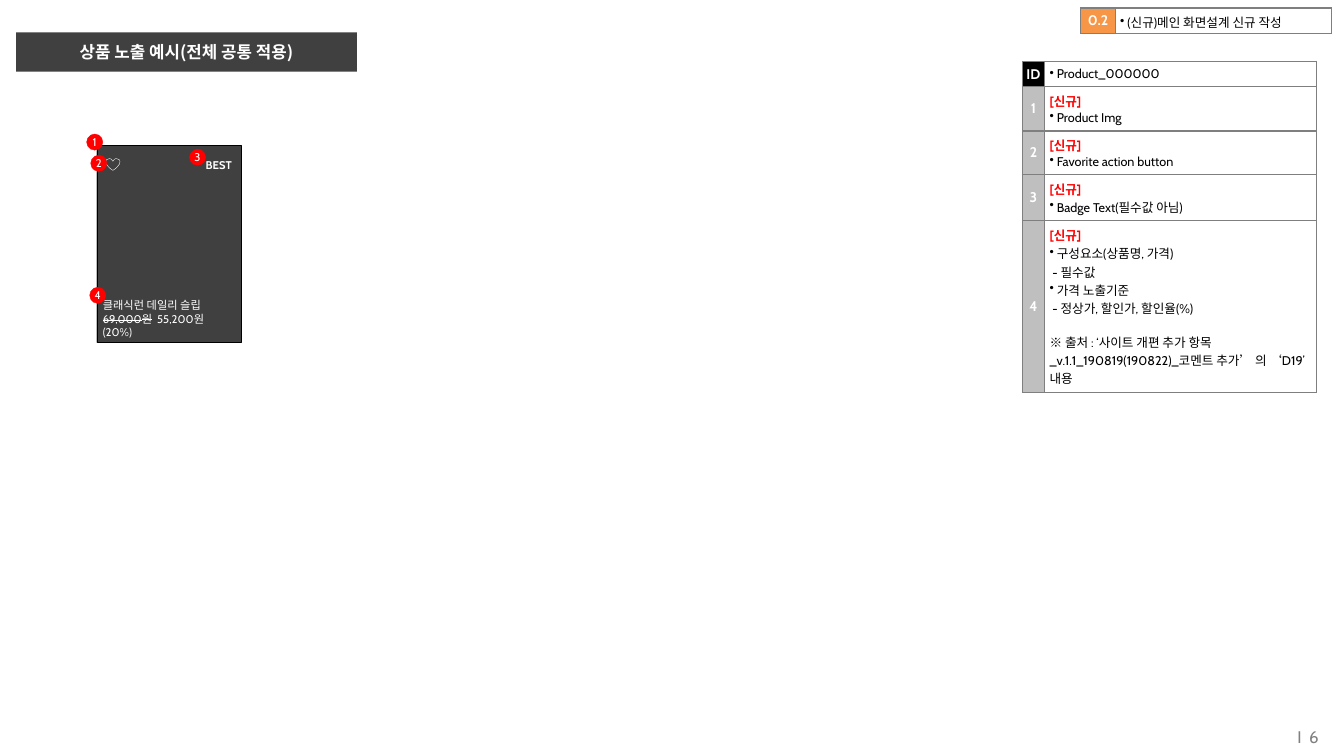
"""Build the product exposure example slide of a screen design document."""
import lxml.etree
import pptx
import pptx.dml.color
import pptx.enum.shapes
import pptx.enum.text
import pptx.oxml.ns
import pptx.util

Inches = pptx.util.Inches
Pt = pptx.util.Pt
Align = pptx.enum.text.PP_ALIGN
Anchor = pptx.enum.text.MSO_ANCHOR
Kind = pptx.enum.shapes.MSO_SHAPE
qn = pptx.oxml.ns.qn

LATIN = "Cabin"
KOREAN = "Noto Sans CJK KR"
COLORS = {
    "white": "FFFFFF", "black": "000000", "dark": "404040", "gray": "808080",
    "edge": "7F7F7F", "label": "BFBFBF", "red": "FF0000", "orange": "F79646",
}
NEW = "[신규]"
SPEC = [
    ("ID", 0.25, ["• Product_000000"]),
    ("1", 0.44, [NEW, "• Product Img"]),
    ("2", 0.43, [NEW, "• Favorite action button"]),
    ("3", 0.46, [NEW, "• Badge Text(필수값 아님)"]),
    ("4", 1.7, [
        NEW, "• 구성요소(상품명, 가격)", " - 필수값", "• 가격 노출기준",
        " - 정상가, 할인가, 할인율(%)",
        "※ 출처 : ‘사이트 개편 추가 항목_v.1.1_190819(190822)_코멘트 추가’ 의 ‘D19’ 내용",
    ]),
]
CHANGE = [("0.2", 0.25, ["• (신규)메인 화면설계 신규 작성"])]
MARKS = [("1", 0.86, 1.33), ("2", 0.9, 1.54), ("3", 1.88, 1.48), ("4", 0.89, 2.85)]


def rgb(name):
    return pptx.dml.color.RGBColor.from_string(COLORS[name])


def style(para, size, color, bold=False, align=Align.LEFT, face=LATIN):
    para.alignment = align
    font = para.font
    font.name, font.size, font.bold = face, Pt(size), bold
    font.color.rgb = rgb(color)


def paint(shape, fill=None, line=None):
    shape.shadow.inherit = False
    if fill:
        shape.fill.solid()
        shape.fill.fore_color.rgb = rgb(fill)
    else:
        shape.fill.background()
    if line:
        shape.line.color.rgb = rgb(line)
        shape.line.width = Pt(0.25)
    else:
        shape.line.fill.background()


def inset(frame, side, top):
    frame.margin_left = frame.margin_right = Inches(side)
    frame.margin_top = frame.margin_bottom = Inches(top)


def add_form(slide, kind, box, fill=None, line=None):
    shape = slide.shapes.add_shape(kind, *map(Inches, box))
    paint(shape, fill, line)
    return shape


def add_text(slide, box, side=0, top=0):
    frame = slide.shapes.add_textbox(*map(Inches, box)).text_frame
    frame.word_wrap = True
    frame.vertical_anchor = Anchor.MIDDLE
    inset(frame, side, top)
    return frame


def add_title(slide, text):
    title = slide.shapes.title
    title.left, title.top, title.width, title.height = map(Inches, (0.16, 0.32, 3.38, 0.39))
    paint(title, "dark")
    frame = title.text_frame
    frame.text = text
    frame.auto_size = pptx.enum.text.MSO_AUTO_SIZE.NONE
    frame.vertical_anchor = Anchor.MIDDLE
    style(frame.paragraphs[0], 12, "white", True, Align.CENTER, KOREAN)


def add_mark(slide, text, left, top):
    mark = add_form(slide, Kind.OVAL, (left, top, 0.16, 0.16), "red", "red")
    frame = mark.text_frame
    frame.text = text
    frame.word_wrap = False
    frame.vertical_anchor = Anchor.MIDDLE
    inset(frame, 0, 0)
    style(frame.paragraphs[0], 8, "white", align=Align.CENTER)


def add_bullet(para):
    props = para._p.get_or_add_pPr()
    props.set("marL", "0")
    props.set("indent", "0")
    mark = lxml.etree.Element(qn("a:buChar"), char="•")
    props.insert(0, mark)


def add_edges(cell):
    props = cell._tc.get_or_add_tcPr()
    for spot, side in enumerate(("lnL", "lnR", "lnT", "lnB")):
        line = lxml.etree.Element(qn("a:" + side), w=str(Pt(1)))
        fill = lxml.etree.SubElement(line, qn("a:solidFill"))
        lxml.etree.SubElement(fill, qn("a:srgbClr"), val=COLORS["edge"])
        props.insert(spot, line)


def fill_cell(cell, color, gap):
    cell.fill.solid()
    cell.fill.fore_color.rgb = rgb(color)
    inset(cell, gap, gap)
    add_edges(cell)


def add_notes(frame, lines):
    for spot, text in enumerate(lines):
        para = frame.paragraphs[0] if spot == 0 else frame.add_paragraph()
        para.text = text.removeprefix("•")
        style(para, 9, "red" if text == NEW else "black", text == NEW)
        if text.startswith("•"):
            add_bullet(para)
        if text.startswith("※"):
            para.space_before = Pt(11)


def add_grid(slide, left, top, widths, rows, tints):
    height = sum(row[1] for row in rows)
    box = map(Inches, (left, top, sum(widths), height))
    table = slide.shapes.add_table(len(rows), 2, *box).table
    for column, width in zip(table.columns, widths):
        column.width = Inches(width)
    for spot, (label, height, lines) in enumerate(rows):
        table.rows[spot].height = Inches(height)
        head, body = table.cell(spot, 0), table.cell(spot, 1)
        fill_cell(head, tints.get(label, "label"), 0)
        head.vertical_anchor = Anchor.MIDDLE
        head.text_frame.text = label
        style(head.text_frame.paragraphs[0], 10, "white", True, Align.CENTER)
        fill_cell(body, "white", 0.05)
        add_notes(body.text_frame, lines)


def add_card(slide):
    add_form(slide, Kind.RECTANGLE, (0.96, 1.44, 1.43, 1.96), "dark", "black")
    add_form(slide, Kind.HEART, (1.05, 1.57, 0.14, 0.12), line="white")
    badge = add_text(slide, (1.56, 1.56, 0.86, 0.15), 0.12)
    badge.text = "BEST"
    style(badge.paragraphs[0], 8, "white", True, Align.RIGHT)
    info = add_text(slide, (0.98, 2.92, 1.44, 0.48), 0.04, 0.04)
    info.text = "클래식런 데일리 슬립\n\n(20%)"
    price = info.paragraphs[1]
    old = price.add_run()
    old.text = "69,000원"
    old.font._element.set("strike", "sngStrike")
    price.add_run().text = "  55,200원"
    for para in info.paragraphs:
        style(para, 8, "white")


def main():
    deck = pptx.Presentation()
    deck.slide_width, deck.slide_height = Inches(13.33), Inches(7.5)
    slide = deck.slides.add_slide(deck.slide_layouts[5])
    add_title(slide, "상품 노출 예시(전체 공통 적용)")
    page = add_text(slide, (11.15, 7.11, 1.93, 0.39))
    page.text = "I  6"
    style(page.paragraphs[0], 12, "gray", align=Align.RIGHT)
    add_grid(slide, 10.14, 0.61, (0.22, 2.7), SPEC, {"ID": "black"})
    add_card(slide)
    for mark in MARKS:
        add_mark(slide, *mark)
    add_grid(slide, 10.72, 0.08, (0.34, 2.15), CHANGE, {"0.2": "orange"})
    deck.save("out.pptx")


if __name__ == "__main__":
    main()
